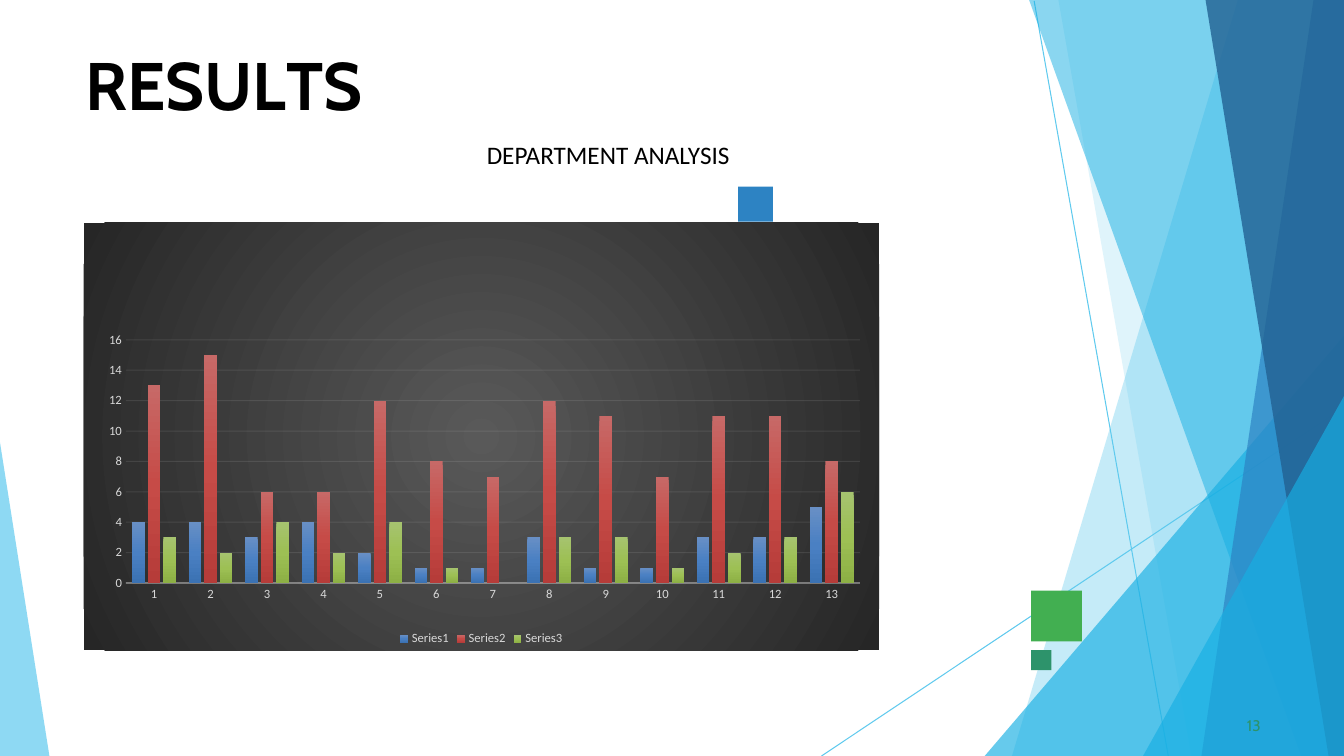
"""Build the RESULTS slide with its department analysis chart."""
from dataclasses import dataclass
from typing import Any

import lxml.etree
import pptx
import pptx.chart.data
import pptx.dml.color
import pptx.enum.chart
import pptx.enum.shapes
import pptx.enum.text
import pptx.oxml
import pptx.oxml.ns
import pptx.util

Pt = pptx.util.Pt
qn = pptx.oxml.ns.qn
WIDTH, HEIGHT = 960, 540
COLORS = {
    "sky": "5FCAEE", "cyan": "17AFE3", "blue": "2D83C3", "navy": "226192",
    "green": "42AF51", "teal": "2D936B", "black": "000000",
    "label": "D9D9D9", "axis": "F2F2F2",
}
CHART_BACKGROUND = {0: "595959", 100: "262626"}
RADIAL = ('<a:path path="circle"><a:fillToRect l="50000" t="50000" '
          'r="50000" b="50000"/></a:path>')
VERTICAL = '<a:lin ang="5400000" scaled="0"/>'
PLOT_LAYOUT = {"x": 0.053, "y": 0.274, "w": 0.923, "h": 0.569}
TITLE_RUNS = [("R", 0), ("E", -0.4), ("S", 0.1), ("U", -0.3), ("L", -4), ("TS", 0)]


@dataclass
class Facet:
    """A translucent polygon of the background."""
    points: list[tuple[float, float]]
    color: str
    opacity: int


@dataclass
class Square:
    """A small decorative square."""
    left: float
    top: float
    size: float
    color: str


@dataclass
class Bars:
    """A chart series and its gradient stops."""
    name: str
    values: list[int | None]
    stops: dict[int, str]


CORNER, TOP_CORNER = (WIDTH, HEIGHT), (WIDTH, 0)
FACETS = [
    Facet([TOP_CORNER, (884.2, 0), (722.9, HEIGHT), CORNER], "sky", 36),
    Facet([TOP_CORNER, (756, 0), (851, HEIGHT), CORNER], "sky", 20),
    Facet([(WIDTH, 239.8), (703.4, HEIGHT), CORNER], "cyan", 66),
    Facet([TOP_CORNER, (735.1, 0), (929.5, HEIGHT), CORNER], "cyan", 50),
    Facet([TOP_CORNER, (938.2, 0), (858.2, HEIGHT), CORNER], "blue", 70),
    Facet([TOP_CORNER, (861.1, 0), (949, HEIGHT), CORNER], "navy", 80),
    Facet([(WIDTH, 283), (816.5, HEIGHT), CORNER], "cyan", 66),
    Facet([(0, 316.1), (0, HEIGHT), (35.3, HEIGHT)], "sky", 70),
]
RAYS = [(738.7, 0.7, 834.5, HEIGHT), (WIDTH, 290.9, 586.8, HEIGHT)]
SQUARES = [
    Square(736.6, 421.9, 36.2, "green"),
    Square(527.2, 133.3, 25, "blue"),
    Square(736.6, 464.4, 14.4, "teal"),
]
SERIES = [
    Bars("Series1", [4, 4, 3, 4, 2, 1, 1, 3, 1, 1, 3, 3, 5],
         {0: "688FC5", 50: "4A80C3", 100: "3B72B3"}),
    Bars("Series2", [13, 15, 6, 6, 12, 8, 7, 12, 11, 7, 11, 11, 8],
         {0: "C76967", 50: "C64B47", 100: "B63C39"}),
    Bars("Series3", [3, 2, 4, 2, 4, 1, None, 3, 3, 1, 2, 3, 6],
         {0: "A6C36F", 50: "9DC054", 100: "8DB045"}),
]


def apply(target: Any, **values: Any) -> None:
    """Set every given attribute on the target."""
    for name, value in values.items():
        setattr(target, name, value)


def paint(fill: Any, color: str, opacity: int = 100) -> None:
    """Give a fill a solid colour and an opacity in percent."""
    fill.solid()
    fill.fore_color.rgb = pptx.dml.color.RGBColor.from_string(COLORS[color])
    if opacity < 100:
        for element in fill._xPr.iter(qn("a:srgbClr")):
            lxml.etree.SubElement(element, qn("a:alpha"), val=str(opacity * 1000))


def format_font(font: Any, size: float, name: str, color: str, **values: Any) -> None:
    """Set size, typeface, colour and further values of a font."""
    apply(font, size=Pt(size), name=name, **values)
    paint(font.fill, color)


def gradient(stops: dict[int, str], direction: str) -> Any:
    """Return a gradient fill element."""
    marks = "".join(f'<a:gs pos="{position * 1000}"><a:srgbClr val="{color}"/></a:gs>'
                    for position, color in stops.items())
    return pptx.oxml.parse_xml(f'<a:gradFill {pptx.oxml.ns.nsdecls("a")}>'
                               f'<a:gsLst>{marks}</a:gsLst>{direction}</a:gradFill>')


def finish_shape(shape: Any, color: str, opacity: int = 100) -> None:
    """Fill a shape and remove its outline and shadow."""
    paint(shape.fill, color, opacity)
    shape.line.fill.background()
    shape.shadow.inherit = False


def draw_background(slide: Any) -> None:
    """Draw the rays, facets and squares."""
    for ray in RAYS:
        connector = slide.shapes.add_connector(
            pptx.enum.shapes.MSO_CONNECTOR.STRAIGHT, *map(Pt, ray))
        connector.line.width = Pt(0.75)
        paint(connector.line.fill, "sky")
        lxml.etree.SubElement(connector._element.spPr, qn("a:effectLst"))
    for facet in FACETS:
        start, *others = [(Pt(x), Pt(y)) for x, y in facet.points]
        builder = slide.shapes.build_freeform(*start)
        builder.add_line_segments(others, close=True)
        finish_shape(builder.convert_to_shape(), facet.color, facet.opacity)
    for square in SQUARES:
        box = map(Pt, (square.left, square.top, square.size, square.size))
        finish_shape(slide.shapes.add_shape(
            pptx.enum.shapes.MSO_SHAPE.RECTANGLE, *box), square.color)


def format_frame(frame: Any, left: float, top: float, right: float, bottom: float) -> None:
    """Set margins, wrapping and anchor of a text frame."""
    apply(frame, margin_left=Pt(left), margin_top=Pt(top), margin_right=Pt(right),
          margin_bottom=Pt(bottom), word_wrap=True,
          auto_size=pptx.enum.text.MSO_AUTO_SIZE.NONE,
          vertical_anchor=pptx.enum.text.MSO_ANCHOR.TOP)


def write_title(title: Any) -> None:
    """Place the title and write its individually spaced letters."""
    apply(title, left=Pt(60), top=Pt(30), width=Pt(237), height=Pt(58.5))
    format_frame(title.text_frame, 0.9, 1, 0, 0)
    paragraph = title.text_frame.paragraphs[0]
    apply(paragraph, alignment=pptx.enum.text.PP_ALIGN.LEFT, space_before=Pt(1.1))
    for text, spacing in TITLE_RUNS:
        run = paragraph.add_run()
        run.text = text
        format_font(run.font, 48, "Cabin", "black", bold=True)
        run._r.get_or_add_rPr().set("spc", str(round(spacing * 100)))


def write_text(slide: Any, text: str, box: tuple[float, ...], margins: tuple[float, ...],
               size: float, font: str, color: str) -> None:
    """Add a one-line text box."""
    frame = slide.shapes.add_textbox(*map(Pt, box)).text_frame
    format_frame(frame, *margins)
    run = frame.paragraphs[0].add_run()
    run.text = text
    format_font(run.font, size, font, color)


def draw_chart(slide: Any) -> None:
    """Add the clustered column chart."""
    chart_types = pptx.enum.chart
    data = pptx.chart.data.CategoryChartData()
    data.categories = [str(number) for number in range(1, 14)]
    for bars in SERIES:
        data.add_series(bars.name, bars.values)
    chart = slide.shapes.add_chart(chart_types.XL_CHART_TYPE.COLUMN_CLUSTERED,
                                   *map(Pt, (59.8, 159.1, 568.1, 305.3)), data).chart
    apply(chart, has_title=False, has_legend=True)
    format_font(chart.font, 10, "Calibri", "black")
    apply(chart.legend, position=chart_types.XL_LEGEND_POSITION.BOTTOM,
          include_in_layout=False)
    format_font(chart.legend.font, 9, "Calibri", "label")
    apply(chart.plots[0], gap_width=100, overlap=-24, vary_by_categories=False)
    for series, bars in zip(chart.plots[0].series, SERIES):
        series._element.get_or_add_spPr().append(gradient(bars.stops, VERTICAL))
    for axis in (chart.category_axis, chart.value_axis):
        apply(axis, major_tick_mark=chart_types.XL_TICK_MARK.NONE,
              minor_tick_mark=chart_types.XL_TICK_MARK.NONE)
        format_font(axis.tick_labels.font, 9, "Calibri", "label")
    apply(chart.value_axis, minimum_scale=0, maximum_scale=16, major_unit=2)
    chart.value_axis.format.line.fill.background()
    for line, width, opacity in ((chart.category_axis.format.line, 1, 54),
                                 (chart.value_axis.major_gridlines.format.line, 0.75, 10)):
        line.width = Pt(width)
        paint(line.fill, "axis", opacity)
    style_chart_area(chart._chartSpace)


def style_chart_area(space: Any) -> None:
    """Fill the chart area and fix the inner plot rectangle."""
    area = lxml.etree.Element(qn("c:spPr"))
    area.append(gradient(CHART_BACKGROUND, RADIAL))
    lxml.etree.SubElement(lxml.etree.SubElement(area, qn("a:ln")), qn("a:noFill"))
    space.find(qn("c:chart")).addnext(area)
    plot = space.find(".//" + qn("c:plotArea"))
    for layout in plot.findall(qn("c:layout")):
        plot.remove(layout)
    layout = lxml.etree.Element(qn("c:layout"))
    manual = lxml.etree.SubElement(layout, qn("c:manualLayout"))
    settings = {"layoutTarget": "inner", "xMode": "edge", "yMode": "edge", **PLOT_LAYOUT}
    for name, value in settings.items():
        lxml.etree.SubElement(manual, qn(f"c:{name}"), val=str(value))
    plot.insert(0, layout)


def main() -> None:
    """Build and save the presentation."""
    presentation = pptx.Presentation()
    apply(presentation, slide_width=Pt(WIDTH), slide_height=Pt(HEIGHT))
    slide = presentation.slides.add_slide(presentation.slide_layouts[5])
    draw_background(slide)
    write_title(slide.shapes.title)
    write_text(slide, "13", (887.8, 509.8, 18, 15.1), (2.9, 1.6, 0, 0), 11, "Cabin", "teal")
    write_text(slide, "DEPARTMENT ANALYSIS", (340.6, 95.8, 216.7, 28),
               (7.2, 3.6, 7.2, 3.6), 18, "Calibri", "black")
    draw_chart(slide)
    presentation.save("out.pptx")


if __name__ == "__main__":
    main()
